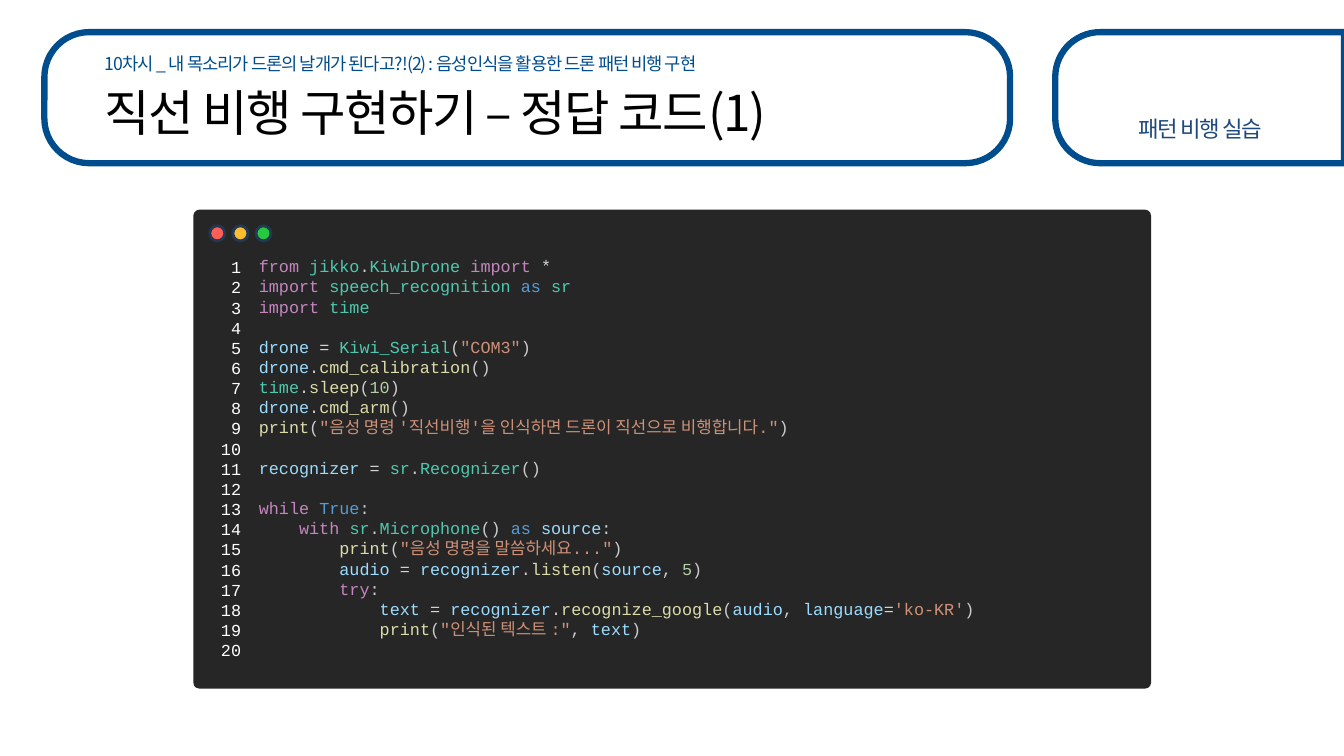
import math

from lxml import etree
from pptx import Presentation
from pptx import util as u
from pptx.dml.color import RGBColor
from pptx.enum import shapes, text
from pptx.oxml import ns

SANS, MONO = "Noto Sans CJK KR", "Courier New"
COLOURS = {
    "white": "FFFFFF", "black": "000000", "frame": "004D8D", "label": "1F497D",
    "window": "262626", "ring": "233953",
    "red": "FF5F56", "yellow": "FFBD2E", "green": "27C93F",
    "keyword": "C586C0", "type": "4EC9B0", "constant": "569CD6",
    "variable": "9CDCFE", "function": "DCDCAA", "string": "CE9178",
    "number": "B5CEA8", "operator": "D4D4D4", "plain": "CCCCCC",
}
ROLES = {
    "keyword": "from import while with try",
    "type": "jikko KiwiDrone speech_recognition sr time Kiwi_Serial Recognizer Microphone",
    "constant": "as True",
    "variable": "drone recognizer source audio text language",
    "function": "cmd_calibration sleep cmd_arm print listen recognize_google",
    "operator": "= *",
}
ROLE_OF = {word: role for role, words in ROLES.items() for word in words.split()}
CODE = '''from jikko.KiwiDrone import *
import speech_recognition as sr
import time

drone = Kiwi_Serial("COM3")
drone.cmd_calibration()
time.sleep(10)
drone.cmd_arm()
print("음성 명령 '직선비행'을 인식하면 드론이 직선으로 비행합니다.")

recognizer = sr.Recognizer()

while True:
    with sr.Microphone() as source:
        print("음성 명령을 말씀하세요...")
        audio = recognizer.listen(source, 5)
        try:
            text = recognizer.recognize_google(audio, language='ko-KR')
            print("인식된 텍스트 :", text)'''
LINE_COUNT = 20
LINE_PITCH = 14.4


def colour(name):
    return RGBColor.from_string(COLOURS[name])


def style(shape, fill, line=None, width=0):
    shape.shadow.inherit = False
    shape.fill.solid()
    shape.fill.fore_color.rgb = colour(fill)
    if line:
        shape.line.color.rgb = colour(line)
        shape.line.width = u.Pt(width)
    else:
        shape.line.fill.background()


def add_shape(page, kind, left, top, width, height, fill, line=None, line_width=0, radius=None):
    shape = page.shapes.add_shape(kind, *map(u.Pt, (left, top, width, height)))
    style(shape, fill, line, line_width)
    if radius is not None:
        shape.adjustments[0] = radius / min(width, height)


def add_open_card(page, left, top, right, bottom, radius):
    """Card with rounded left corners that runs to the slide's edge."""
    points = [(right, top), (right, bottom)]
    for centre_y, start in ((bottom - radius, 90), (top + radius, 180)):
        for step in range(16):
            angle = math.radians(start + 6 * step)
            points.append((left + radius + radius * math.cos(angle),
                           centre_y + radius * math.sin(angle)))
    points = [(round(x * 100), round(y * 100)) for x, y in points]
    builder = page.shapes.build_freeform(*points[0], scale=u.Pt(1) / 100)
    builder.add_line_segments(points[1:], close=True)
    style(builder.convert_to_shape(), "white", "frame", 4.5)


def add_box(page, left, top, width, height, inset_y=0.0):
    box = page.shapes.add_textbox(*map(u.Pt, (left, top, width, height)))
    frame = box.text_frame
    frame.word_wrap = True
    frame.vertical_anchor = text.MSO_ANCHOR.TOP
    frame.margin_left = frame.margin_right = u.Pt(7.2)
    frame.margin_top = frame.margin_bottom = u.Pt(inset_y)
    return frame


def add_text(para, words, *, size, color, font=SANS, spacing=0.0):
    span = para.add_run()
    span.text = words
    span.font.size = u.Pt(size)
    span.font.name = font
    span.font.color.rgb = colour(color)
    props = span.font._element
    if spacing:
        props.set("spc", str(round(spacing * 100)))
    latin = props.find(ns.qn("a:latin"))
    east = etree.Element(ns.qn("a:ea"), typeface=SANS)
    latin.addnext(east)


def tokens(line):
    """Split a line of code into (text, colour) pairs."""
    start = 0
    while start < len(line):
        first, end = line[start], start + 1
        if first in "\"'":
            end = line.index(first, end) + 1
            role = "string"
        else:
            if first.isalnum():
                while end < len(line) and (line[end].isalnum() or line[end] == "_"):
                    end += 1
            word = line[start:end]
            role = "number" if word.isdigit() else ROLE_OF.get(word, "plain")
        while end < len(line) and line[end] == " ":
            end += 1
        yield line[start:end], role
        start = end


def next_paragraph(frame, number):
    para = frame.paragraphs[0] if number == 0 else frame.add_paragraph()
    para.line_spacing = u.Pt(LINE_PITCH)
    return para


def add_code(page):
    frame = add_box(page, 177.8, 179.3, 607.7, 312.5, inset_y=3.6)
    count, gap = 0, False
    for line in CODE.splitlines():
        if not line:
            gap = True
            continue
        para = next_paragraph(frame, count)
        if gap:
            para.add_line_break()
        for words, role in tokens(line):
            add_text(para, words, size=12, color=role, font=MONO)
        count, gap = count + 1, False


def add_line_numbers(page):
    frame = add_box(page, 148.3, 180, 31, 312.5, inset_y=3.6)
    for index in range(LINE_COUNT):
        para = next_paragraph(frame, index)
        para.alignment = text.PP_ALIGN.RIGHT
        add_text(para, str(index + 1), size=12, color="white", font=MONO)


def main():
    deck = Presentation()
    deck.slide_width, deck.slide_height = u.Pt(960), u.Pt(540)
    page = deck.slides.add_slide(deck.slide_layouts[6])
    rounded = shapes.MSO_SHAPE.ROUNDED_RECTANGLE

    # Header cards
    add_open_card(page, 753.8, 23, 960, 116.6, 32)
    add_shape(page, rounded, 31.7, 23, 689.8, 93.6, "white", "frame", 4.5, radius=32)

    # Header text
    para = add_box(page, 67.7, 37.4, 620, 22.3).paragraphs[0]
    add_text(para, "10차시 _ ", size=12.6, color="frame", spacing=-1)
    add_text(para, "내 목소리가 드론의 날개가 된다고?!(2) : 음성인식을 활용한 드론 패턴 비행 구현",
             size=12.6, color="frame", spacing=-0.7)
    para = add_box(page, 67.7, 59, 620, 42.5).paragraphs[0]
    add_text(para, "직선 비행 구현하기 – 정답 코드(1)", size=35.3, color="black", spacing=-1)
    para = add_box(page, 796.3, 82.1, 121.7, 28).paragraphs[0]
    para.alignment = text.PP_ALIGN.CENTER
    add_text(para, "패턴 비행 실습", size=16, color="label", spacing=-1)

    # Code window
    add_shape(page, rounded, 138.2, 149.8, 684, 342, "window", radius=4.1)
    for index, fill in enumerate(("red", "yellow", "green")):
        add_shape(page, shapes.MSO_SHAPE.OVAL, 149.8 + 16.5 * index, 161.3, 10.8, 10.8,
                  fill, "ring", 2)
    add_code(page)
    add_line_numbers(page)

    deck.save("out.pptx")


if __name__ == "__main__":
    main()
